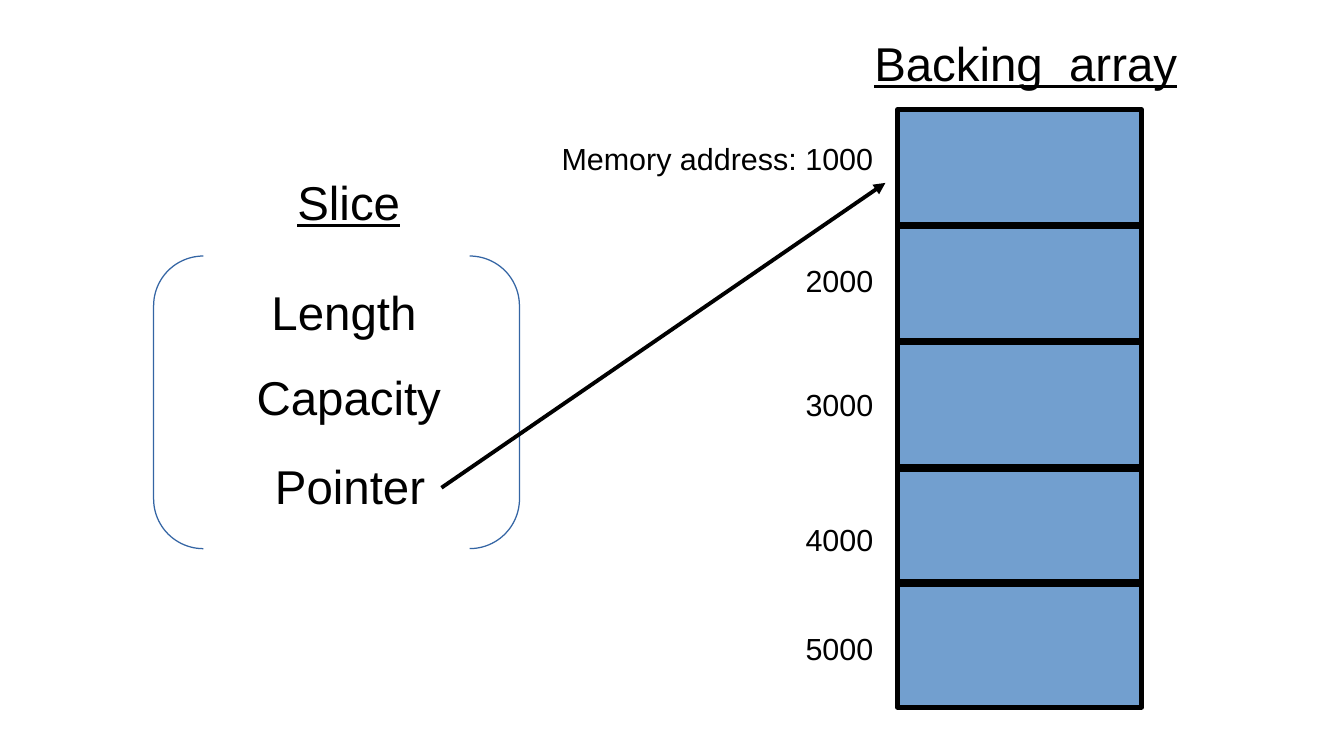
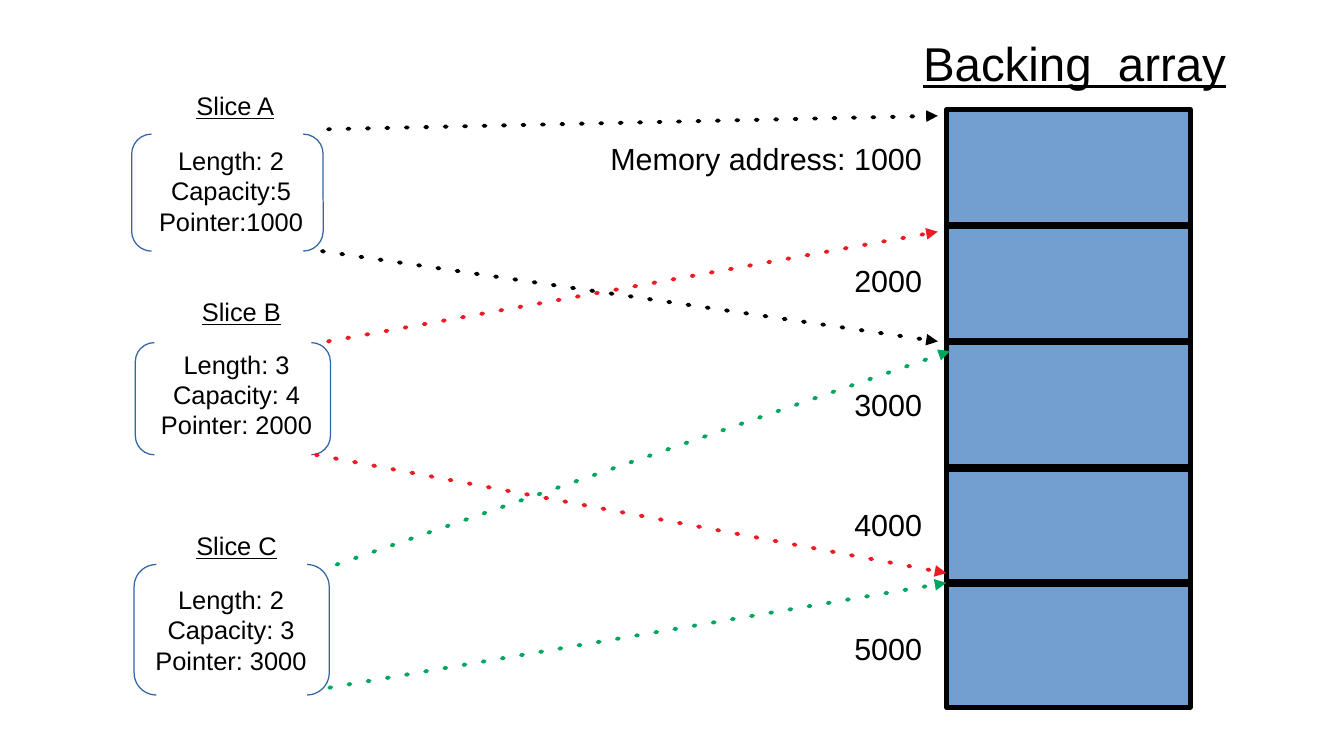
from lxml.etree import SubElement
from pptx import Presentation
from pptx.dml.color import RGBColor
from pptx.enum.shapes import MSO_CONNECTOR as Connector, MSO_SHAPE as Shape
from pptx.enum.text import MSO_ANCHOR as Anchor, MSO_AUTO_SIZE as AutoSize, PP_ALIGN as Align
from pptx.oxml.ns import qn
from pptx.util import Inches, Pt

CELL = Inches(0.1)
COLUMNS, ROWS = 110.2, 62
BLACK, RED, GREEN = "000000", "ED1C24", "00A65D"
ARRAY_FILL, BRACKET_LINE = "729FCF", "3465A4"
ARRAY_TOP, ARRAY_WIDTH, ARRAY_HEIGHT = 9, 20, 49
DIVIDER_ROWS = [18.5, 28, 38.4, 47.8]

colour = RGBColor.from_string


def grid(*cells):
    return [round(cell * CELL) for cell in cells]


def write(box, place, text, size, align=Align.CENTER, underline=False):
    box.left, box.top, box.width, box.height = grid(*place)
    frame = box.text_frame
    frame_format = {
        "word_wrap": True, "auto_size": AutoSize.NONE, "vertical_anchor": Anchor.TOP,
        "margin_left": Inches(0.1), "margin_right": Inches(0.1),
        "margin_top": Inches(0.05), "margin_bottom": Inches(0.05),
    }
    for name, value in frame_format.items():
        setattr(frame, name, value)
    frame.text = text
    span_format = {"name": "Arial", "size": Pt(size), "underline": underline}
    for para in frame.paragraphs:
        para.alignment = align
        for span in para.runs:
            for name, value in span_format.items():
                setattr(span.font, name, value)
            span.font.color.rgb = colour(BLACK)


diagrams = [
    {
        "array_left": 73.6,
        "address_rows": [11, 21, 31.2, 42.2, 51.2],
        "brackets": [(12.6, 21, 30, 24)],
        "texts": [
            ("Slice", (20.6, 13.7, 16, 5.3), 28, True),
            ("Length", (20.2, 22.7, 16, 5.3), 28, False),
            ("Capacity", (19.6, 29.7, 18, 5.3), 28, False),
            ("Pointer", (21.2, 37, 15, 5.8), 28, False),
        ],
        "arrows": [((36.2, 40, 72.6, 15), BLACK)],
        "dotted": False,
    },
    {
        "array_left": 77.6,
        "address_rows": [11, 21, 31.2, 41, 51.2],
        "brackets": [
            (10.8, 11, 15.7, 9.6),
            (11.1, 28.1, 16, 9.2),
            (11, 46.3, 16, 10.7),
        ],
        "texts": [
            ("Slice A", (12.1, 6.9, 14.4, 3.3), 15, True),
            ("Length: 2\nCapacity:5\nPointer:1000", (11.1, 11.4, 15.7, 10.4), 15, False),
            ("Slice B", (12.6, 23.8, 14.4, 3.3), 15, True),
            ("Length: 3\nCapacity: 4\nPointer: 2000", (10.9, 28.1, 17, 9.1), 15, False),
            ("Slice C", (12.2, 43, 14.4, 3.3), 15, True),
            ("Length: 2\nCapacity: 3\nPointer: 3000", (11.3, 47.4, 15.3, 9), 15, False),
        ],
        "arrows": [
            ((26.9, 10.6, 76.9, 9.5), BLACK),
            ((26.4, 20.6, 76.9, 28), BLACK),
            ((26.9, 28, 76.9, 19), RED),
            ((25.9, 37.3, 77.6, 47), RED),
            ((27.6, 46.3, 77.9, 28.8), GREEN),
            ((27, 56.4, 77.6, 47.8), GREEN),
        ],
        "dotted": True,
    },
]

deck = Presentation()
deck.slide_width, deck.slide_height = grid(COLUMNS, ROWS)
title_only = deck.slide_layouts[5]

for diagram in diagrams:
    page = deck.slides.add_slide(title_only)
    shapes = page.shapes
    left = diagram["array_left"]
    right = left + ARRAY_WIDTH
    write(shapes.title, (left - 10, 2.3, 41, 5.6), "Backing  array", 28, underline=True)

    array = shapes.add_shape(Shape.RECTANGLE, *grid(left, ARRAY_TOP, ARRAY_WIDTH, ARRAY_HEIGHT))
    array.shadow.inherit = False
    array.fill.solid()
    array.fill.fore_color.rgb = colour(ARRAY_FILL)
    array.line.color.rgb = colour(BLACK)
    array.line.width = Pt(3)

    for place in diagram["brackets"]:
        bracket = shapes.add_shape(Shape.DOUBLE_BRACKET, *grid(*place))
        bracket.adjustments[0] = 0.17
        bracket.shadow.inherit = False
        bracket.fill.background()
        bracket.line.color.rgb = colour(BRACKET_LINE)
        bracket.line.width = Pt(0.75)

    for text, place, size, underline in diagram["texts"]:
        write(shapes.add_textbox(0, 0, 0, 0), place, text, size, underline=underline)

    for number, row in enumerate(diagram["address_rows"], 1):
        prefix = "Memory address: " if number == 1 else ""
        write(shapes.add_textbox(0, 0, 0, 0), (left - 31, row, 30, 3.8),
              f"{prefix}{number * 1000}", 18, Align.RIGHT)

    dividers = [((right, row, left, row), BLACK, 4.5, False) for row in DIVIDER_ROWS]
    arrows = [(ends, shade, 2.3, True) for ends, shade in diagram["arrows"]]
    for ends, shade, width, pointed in dividers + arrows:
        line = shapes.add_connector(Connector.STRAIGHT, *grid(*ends))
        line.line.color.rgb = colour(shade)
        line.line.width = Pt(width)
        properties = line._element.spPr
        SubElement(properties, qn("a:effectLst"))
        outline = properties.find(qn("a:ln"))
        if pointed and diagram["dotted"]:
            outline.set("cap", "rnd")
            dashes = SubElement(outline, qn("a:custDash"))
            SubElement(dashes, qn("a:ds"), d="150000", sp="350000")
        if pointed:
            SubElement(outline, qn("a:tailEnd"), type="triangle")

deck.save("out.pptx")
